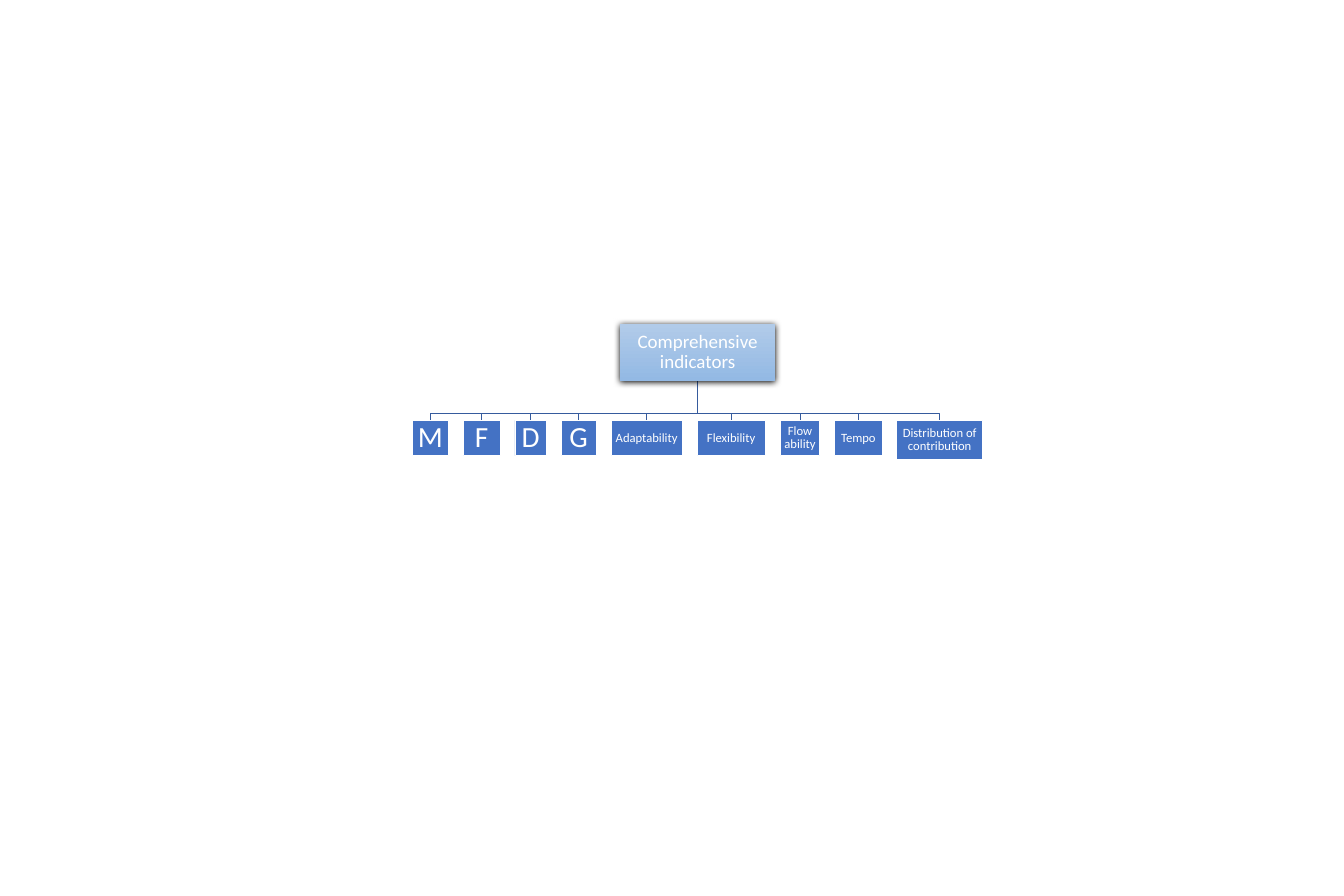
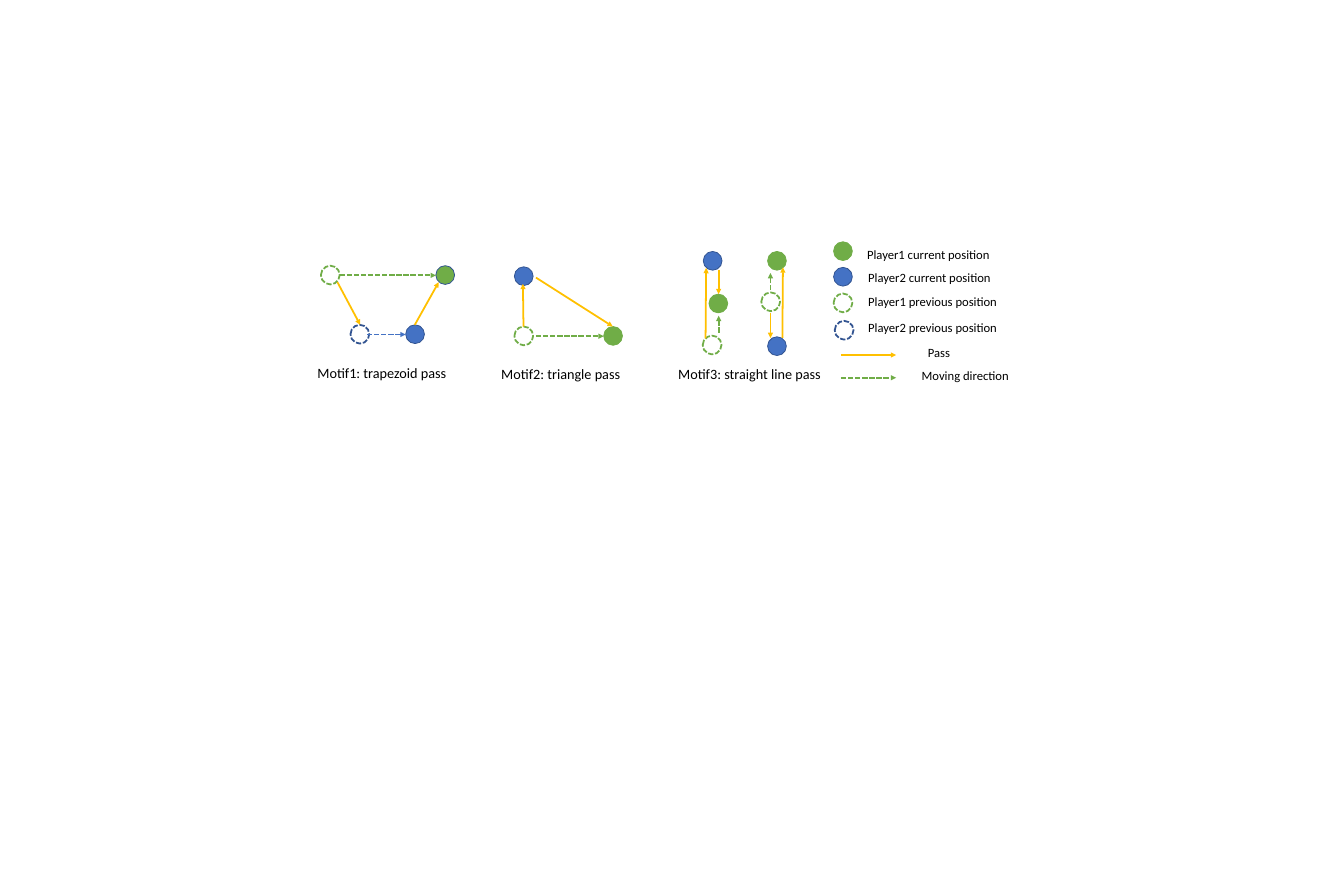
from lxml.etree import SubElement
from pptx import Presentation
from pptx.dml.color import RGBColor
from pptx.enum.dml import MSO_LINE
from pptx.enum.shapes import MSO_CONNECTOR, MSO_SHAPE
from pptx.enum.text import MSO_ANCHOR, PP_ALIGN
from pptx.oxml.ns import qn
from pptx.util import Inches, Pt

FONT = "Calibri"
WHITE = RGBColor(0xFF, 0xFF, 0xFF)
BLACK = RGBColor(0x00, 0x00, 0x00)
BLUE = RGBColor(0x44, 0x72, 0xC4)
NAVY = RGBColor(0x32, 0x54, 0x91)
BRANCH_BLUE = RGBColor(0x36, 0x5B, 0x9D)
GREEN = RGBColor(0x70, 0xAD, 0x47)
GOLD = RGBColor(0xFF, 0xC0, 0x00)
ROOT_TOP = RGBColor(0xB1, 0xCB, 0xE9)
ROOT_BOTTOM = RGBColor(0x93, 0xB9, 0xE4)

PLAYER_SIZE = 0.33
# Player styles: fill, outline
NOW_1 = (GREEN, GREEN)
NOW_1_RIMMED = (GREEN, NAVY)
NOW_2 = (BLUE, NAVY)
BEFORE_1 = (None, GREEN)
BEFORE_2 = (None, NAVY)
# Arrow styles: colour, dashed
PASS = (GOLD, False)
MOVE_1 = (GREEN, True)
MOVE_2 = (BLUE, True)


def format_text(paragraph, size, color):
    for span in paragraph.runs:
        span.font.name = FONT
        span.font.size = Pt(size)
        span.font.color.rgb = color


# ---- Indicator tree ----
def add_node(page, left, top, width, height, text, size, inset):
    box = page.shapes.add_shape(MSO_SHAPE.RECTANGLE, Inches(left), Inches(top),
                                Inches(width), Inches(height))
    box.shadow.inherit = False
    frame = box.text_frame
    frame.word_wrap = True
    frame.vertical_anchor = MSO_ANCHOR.MIDDLE
    frame.margin_left = frame.margin_right = Inches(inset)
    frame.margin_top = frame.margin_bottom = Inches(inset)
    frame.text = text
    paragraph = frame.paragraphs[0]
    paragraph.alignment = PP_ALIGN.CENTER
    paragraph.line_spacing = 0.9
    format_text(paragraph, size, WHITE)
    return box


def add_branch(page, start_x, start_y, end_x, end_y, bend_y):
    points = [(Inches(x), Inches(y)) for x, y in
              ((start_x, bend_y), (end_x, bend_y), (end_x, end_y))]
    builder = page.shapes.build_freeform(Inches(start_x), Inches(start_y))
    builder.add_line_segments(points, close=False)
    branch = builder.convert_to_shape()
    branch.shadow.inherit = False
    branch.fill.background()
    branch.line.color.rgb = BRANCH_BLUE
    branch.line.width = Pt(1)


def add_root(page, left, top, width, height, text):
    root = add_node(page, left, top, width, height, text, 24, 0.02)
    root.line.fill.background()
    root.fill.gradient()
    root.fill.gradient_angle = 270
    for stop, color in zip(root.fill.gradient_stops, (ROOT_TOP, ROOT_BOTTOM)):
        stop.color.rgb = color
    # Soft shadow below the root
    effects = root._element.spPr.find(qn("a:effectLst"))
    shadow = SubElement(effects, qn("a:outerShdw"), blurRad=str(Pt(8.5)),
                        dist=str(Pt(1)), dir="5400000", rotWithShape="0")
    SubElement(shadow, qn("a:srgbClr"), val=str(BLACK))


def add_tree(page, left, top):
    root_left, root_width, root_height = left + 3.65, 2.72, 0.99
    root_x, root_bottom = root_left + root_width / 2, top + root_height
    leaf_top, gap = top + 1.69, 0.26
    # Leaves: text, width, height, text size, inset
    leaves = [
        ("M", 0.63, 0.62, 37, 0.03),
        ("F", 0.65, 0.62, 37, 0.03),
        ("D", 0.55, 0.62, 37, 0.03),
        ("G", 0.62, 0.62, 37, 0.03),
        ("Adaptability", 1.25, 0.62, 16, 0.01),
        ("Flexibility", 1.2, 0.62, 16, 0.01),
        ("Flow ability", 0.7, 0.62, 16, 0.01),
        ("Tempo", 0.83, 0.62, 16, 0.01),
        ("Distribution of contribution", 1.51, 0.68, 16, 0.01),
    ]
    leaf_left = left
    for text, width, height, size, inset in leaves:
        add_branch(page, root_x, root_bottom, leaf_left + width / 2, leaf_top,
                   leaf_top - 0.13)
        leaf = add_node(page, leaf_left, leaf_top, width, height, text, size, inset)
        leaf.fill.solid()
        leaf.fill.fore_color.rgb = BLUE
        leaf.line.color.rgb = WHITE
        leaf.line.width = Pt(1)
        leaf_left += width + gap
    add_root(page, root_left, top, root_width, root_height, "Comprehensive indicators")


# ---- Passing motifs ----
def add_player(page, left, top, style):
    fill, outline = style
    player = page.shapes.add_shape(MSO_SHAPE.OVAL, Inches(left), Inches(top),
                                   Inches(PLAYER_SIZE), Inches(PLAYER_SIZE))
    player.shadow.inherit = False
    player.line.color.rgb = outline
    if fill is None:
        player.fill.background()
        player.line.width = Pt(2.25)
        player.line.dash_style = MSO_LINE.SQUARE_DOT
    else:
        player.fill.solid()
        player.fill.fore_color.rgb = fill
        player.line.width = Pt(1)


def add_arrow(page, start_x, start_y, end_x, end_y, style):
    color, dashed = style
    arrow = page.shapes.add_connector(MSO_CONNECTOR.STRAIGHT, Inches(start_x), Inches(start_y),
                                      Inches(end_x), Inches(end_y))
    arrow.line.color.rgb = color
    arrow.line.width = Pt(2.25)
    if dashed:
        arrow.line.dash_style = MSO_LINE.SQUARE_DOT
    SubElement(arrow.line._get_or_add_ln(), qn("a:tailEnd"), type="triangle")
    SubElement(arrow._element.spPr, qn("a:effectLst"))


def add_label(page, left, top, width, height, text, size):
    label = page.shapes.add_textbox(Inches(left), Inches(top), Inches(width), Inches(height))
    label.text_frame.word_wrap = False
    label.text_frame.text = text
    format_text(label.text_frame.paragraphs[0], size, BLACK)


def add_motif(page, left, top, players, arrows, caption):
    for x, y, style in players:
        add_player(page, left + x, top + y, style)
    for start_x, start_y, end_x, end_y, style in arrows:
        add_arrow(page, left + start_x, top + start_y, left + end_x, top + end_y, style)
    text, caption_y, width = caption
    add_label(page, left, top + caption_y, width, 0.4, text, 18)


def add_trapezoid_motif(page, left, top):
    players = [(0.16, 0, BEFORE_1), (2.18, 0, NOW_1_RIMMED),
               (0.68, 1.04, BEFORE_2), (1.65, 1.04, NOW_2)]
    arrows = [(0.45, 0.29, 0.85, 1.04, PASS), (0.49, 0.17, 2.18, 0.17, MOVE_1),
              (0.97, 1.21, 1.65, 1.21, MOVE_2), (1.81, 1.04, 2.23, 0.29, PASS)]
    add_motif(page, left, top, players, arrows, ("Motif1: trapezoid pass", 1.68, 2.5))


def add_triangle_motif(page, left, top):
    players = [(0.33, 0, NOW_2), (0.33, 1.05, BEFORE_1), (1.9, 1.05, NOW_1)]
    arrows = [(0.71, 1.22, 1.9, 1.22, MOVE_1), (0.49, 1.05, 0.48, 0.3, PASS),
              (0.71, 0.19, 2.06, 1.05, PASS)]
    add_motif(page, left, top, players, arrows, ("Motif2: triangle pass", 1.69, 2.32))


def add_straight_motif(page, left, top):
    players = [(0.54, 0, NOW_2), (0.64, 0.75, NOW_1), (0.53, 1.48, BEFORE_1),
               (1.67, 0, NOW_1), (1.56, 0.72, BEFORE_1), (1.67, 1.5, NOW_2)]
    arrows = [(0.58, 1.53, 0.59, 0.29, PASS), (0.81, 1.43, 0.81, 1.13, MOVE_1),
              (0.81, 0.32, 0.81, 0.75, PASS), (1.93, 1.52, 1.94, 0.28, PASS),
              (1.72, 0.68, 1.72, 0.38, MOVE_1), (1.72, 1.09, 1.72, 1.52, PASS)]
    add_motif(page, left, top, players, arrows, ("Motif3: straight line pass", 1.96, 2.74))


def add_legend(page, left, top):
    # Players: marker x, marker y, style, label x, label y, width, text
    player_rows = [
        (0, 0, NOW_1, 0.49, 0.04, 2.44, "Player1 current position"),
        (0, 0.45, NOW_2, 0.51, 0.44, 2.44, "Player2 current position"),
        (0, 0.91, BEFORE_1, 0.51, 0.87, 2.55, "Player1 previous position"),
        (0.02, 1.39, BEFORE_2, 0.51, 1.32, 2.55, "Player2 previous position"),
    ]
    for x, y, style, label_x, label_y, width, text in player_rows:
        add_player(page, left + x, top + y, style)
        add_label(page, left + label_x, top + label_y, width, 0.37, text, 16)
    # Arrows: y, style, label x, width, text
    arrow_rows = [(1.99, PASS, 1.56, 0.65, "Pass"),
                  (2.39, MOVE_1, 1.45, 1.75, "Moving direction")]
    for y, style, label_x, width, text in arrow_rows:
        add_arrow(page, left + 0.13, top + y, left + 1.1, top + y, style)
        add_label(page, left + label_x, top + y - 0.23, width, 0.37, text, 16)


deck = Presentation()
deck.slide_width = Inches(23.62)
deck.slide_height = Inches(15.75)
blank_layout = deck.slide_layouts[6]

tree_page = deck.slides.add_slide(blank_layout)
add_tree(tree_page, 7.25, 5.7)

motif_page = deck.slides.add_slide(blank_layout)
add_trapezoid_motif(motif_page, 5.48, 4.67)
add_triangle_motif(motif_page, 8.71, 4.69)
add_straight_motif(motif_page, 11.82, 4.42)
add_legend(motif_page, 14.65, 4.25)

deck.save("out.pptx")
